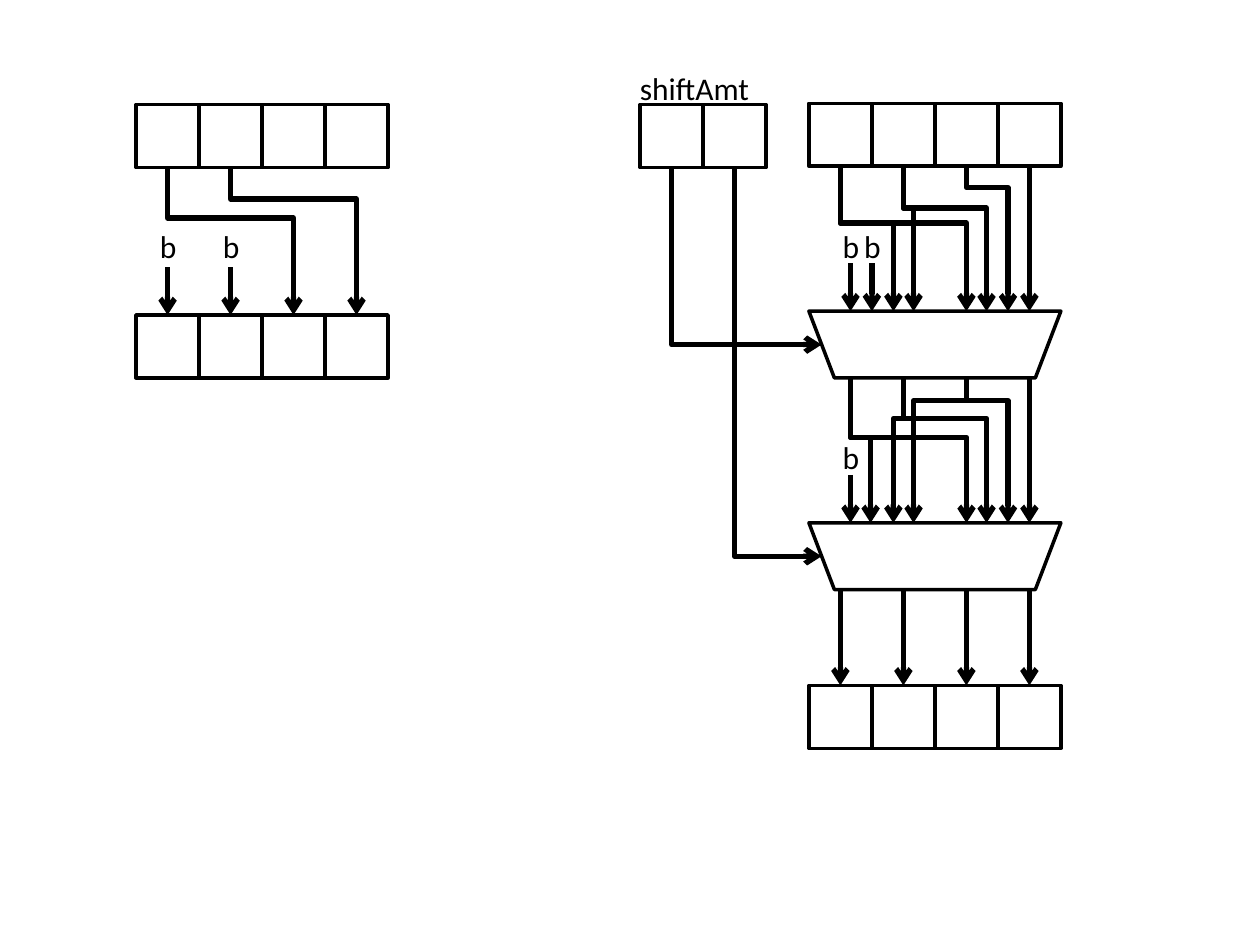
from lxml import etree
from pptx import Presentation
from pptx.dml.color import RGBColor
from pptx.enum.shapes import MSO_CONNECTOR as Link, MSO_SHAPE as Shape
from pptx.enum.text import MSO_AUTO_SIZE as AutoSize
from pptx.oxml.ns import qn
from pptx.util import Inches, Pt

BLACK, WHITE = "000000", "FFFFFF"
CELL = 0.5
WIRE_DROP = 1.15
MUX_WIDTH, MUX_HEIGHT = 2, 0.53


def colour(value):
    return RGBColor.from_string(value)


def set_all(target, values):
    for name, value in values.items():
        setattr(target, name, value)


def add_box(page, kind, left, top, width, height):
    box = page.shapes.add_shape(kind, *map(Inches, (left, top, width, height)))
    box.shadow.inherit = False
    box.fill.solid()
    box.fill.fore_color.rgb = colour(WHITE)
    box.line.color.rgb = colour(BLACK)
    box.line.width = Pt(2)
    return box


def add_register(page, left, top, bits):
    for bit in range(bits):
        add_box(page, Shape.RECTANGLE, left + bit * CELL, top, CELL, CELL)


def add_label(page, words, left, top, width):
    box = page.shapes.add_textbox(*map(Inches, (left, top, width, 0.4)))
    set_all(box.text_frame, {"word_wrap": False, "auto_size": AutoSize.SHAPE_TO_FIT_TEXT})
    span = box.text_frame.paragraphs[0].add_run()
    span.text = words
    set_all(span.font, {"name": "Calibri", "size": Pt(18)})
    span.font.color.rgb = colour(BLACK)


def style_arrow(wire):
    wire.line.color.rgb = colour(BLACK)
    wire.line.width = Pt(3)
    properties = wire.element.spPr
    etree.SubElement(properties.find(qn("a:ln")), qn("a:tailEnd"), type="arrow")
    etree.SubElement(properties, qn("a:effectLst"))


def add_arrow(page, x, top, bottom):
    style_arrow(page.shapes.add_connector(
        Link.STRAIGHT, *map(Inches, (x, top, x, bottom))))


def add_elbow(page, x1, y1, x2, y2, bend=None):
    """Leave downwards; turn after `bend` inches, or only once if it is None."""
    length, breadth = y2 - y1, abs(x2 - x1)
    left, top = (x1 + x2 - length) / 2, (y1 + y2 - breadth) / 2
    wire = page.shapes.add_connector(
        Link.ELBOW, *map(Inches, (left, top, left + length, top + breadth)))
    frame = wire.element.spPr.find(qn("a:xfrm"))
    if x2 > x1:
        frame.set("rot", "16200000")
        frame.set("flipH", "1")
    else:
        frame.set("rot", "5400000")
    outline = wire.element.spPr.find(qn("a:prstGeom"))
    if bend is None:
        outline.set("prst", "bentConnector2")
    else:
        guides = outline.find(qn("a:avLst"))
        if guides is None:
            guides = etree.SubElement(outline, qn("a:avLst"))
        etree.SubElement(guides, qn("a:gd"), name="adj1",
                         fmla=f"val {round(bend / length * 100000)}")
    style_arrow(wire)


def add_fill_bit(page, x, target_top, rise):
    add_label(page, "b", x - 0.16, target_top - rise, 0.34)
    add_arrow(page, x, target_top - 0.38, target_top)


def add_fixed_shift(page, left, top):
    """Two registers joined by a shift of two places."""
    lower = top + 1.67
    add_register(page, left, top, 4)
    add_register(page, left, lower, 4)
    for bit, bend in enumerate((0.4, 0.25)):
        x = left + (bit + 0.5) * CELL
        add_fill_bit(page, x, lower, 0.75)
        add_elbow(page, x, top + CELL, x + 2 * CELL, lower, bend)


def add_mux_stage(page, left, top, fills, wires):
    """A mux with its fill bits and its data wires (source, bend, targets)."""
    mux = add_box(page, Shape.TRAPEZOID, left, top, MUX_WIDTH, MUX_HEIGHT)
    mux.adjustments[0] = 0.382
    mux.element.spPr.find(qn("a:xfrm")).set("flipV", "1")
    for x in fills:
        add_fill_bit(page, left + x, top, 0.72)
    source_top = top - WIRE_DROP
    for source, bend, targets in wires:
        for target in targets:
            add_elbow(page, left + source, source_top, left + target, top, bend)
    add_arrow(page, left + 1.75, source_top, top)


def add_barrel_shifter(page, left, top):
    data, muxes = left + 1.34, (top + 1.64, top + 3.32)
    result = top + 4.61

    # Registers
    add_register(page, left, top, 2)
    add_register(page, data, top - 0.01, 4)
    add_register(page, data, result, 4)
    add_label(page, "shiftAmt", left - 0.1, top - 0.33, 1.08)

    # Shift by two, then by one
    add_mux_stage(page, data, muxes[0], (0.33, 0.5), [
        (0.25, 0.45, (1.25, 0.67)),
        (0.75, 0.33, (1.41, 0.83)),
        (1.25, 0.17, (1.58,)),
    ])
    add_mux_stage(page, data, muxes[1], (0.33,), [
        (0.33, 0.47, (1.25, 0.49)),
        (0.75, 0.32, (1.41, 0.67)),
        (1.25, 0.18, (1.58, 0.83)),
    ])

    # Select lines and outputs
    for bit, mux_top in enumerate(muxes):
        add_elbow(page, left + (bit + 0.5) * CELL, top + CELL,
                  data + 0.1, mux_top + MUX_HEIGHT / 2)
    for bit in range(4):
        add_arrow(page, data + (bit + 0.5) * CELL, muxes[1] + MUX_HEIGHT, result)


deck = Presentation()
set_all(deck, {"slide_width": Inches(10), "slide_height": Inches(7.5)})
page = deck.slides.add_slide(deck.slide_layouts[6])
add_fixed_shift(page, 1.08, 0.83)
add_barrel_shifter(page, 5.08, 0.83)
deck.save("out.pptx")
